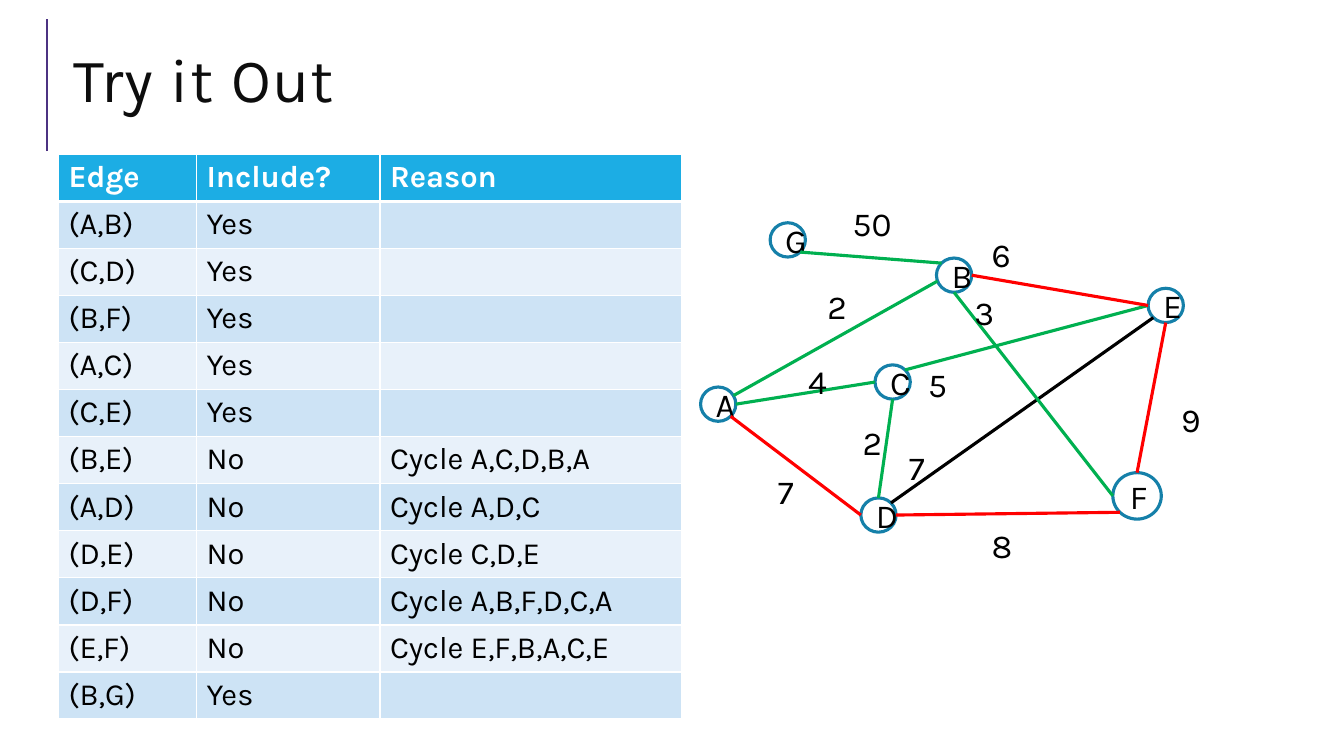
from dataclasses import dataclass
from math import cos, radians, sin

from lxml import etree
from pptx import Presentation
from pptx.dml.color import RGBColor
from pptx.enum.shapes import MSO_CONNECTOR, MSO_SHAPE
from pptx.enum.text import MSO_ANCHOR, MSO_AUTO_SIZE, PP_ALIGN
from pptx.oxml.ns import qn
from pptx.util import Pt

LINE = MSO_CONNECTOR.STRAIGHT
OVAL = MSO_SHAPE.OVAL
MIDDLE = MSO_ANCHOR.MIDDLE
NO_FIT = MSO_AUTO_SIZE.NONE
LEFT, CENTER = PP_ALIGN.LEFT, PP_ALIGN.CENTER


@dataclass(frozen=True)
class Theme:
    font: str = "Karla"
    title: str = "0D0D0D"
    bar: str = "4C3282"
    ink: str = "000000"
    white: str = "FFFFFF"
    ring: str = "1580A9"
    head: str = "1CADE4"
    bands: tuple = ("CDE3F5", "E8F1FA")
    green: str = "00B050"
    red: str = "FF0000"
    big: int = 44
    mid: int = 24
    cell: int = 22


theme = Theme()


def style(para, text, size, color, align=LEFT, bold=False):
    para.text = text
    para.alignment = align
    font = para.font
    font.name, font.size, font.bold = theme.font, Pt(size), bold
    font.color.rgb = RGBColor.from_string(color)


def draw(x1, y1, x2, y2, color, width):
    line = slide.shapes.add_connector(LINE, Pt(x1), Pt(y1), Pt(x2), Pt(y2))
    line.line.color.rgb = RGBColor.from_string(color)
    line.line.width = Pt(width)
    etree.SubElement(line._element.spPr, qn("a:effectLst"))


deck = Presentation()
deck.slide_width, deck.slide_height = Pt(960), Pt(540)
slide = deck.slides.add_slide(deck.slide_layouts[5])

# Title with its side bar
draw(33.8, 108, 33.8, 13.7, theme.bar, 1.5)
title = slide.shapes.title
title.left, title.top, title.width, title.height = Pt(45.4), Pt(20.9), Pt(880.6), Pt(79.9)
frame = title.text_frame
frame.auto_size, frame.vertical_anchor, frame.word_wrap = NO_FIT, MIDDLE, True
para = frame.paragraphs[0]
style(para, "Try it Out", theme.big, theme.title)
para.line_spacing = 0.8
para.runs[0]._r.get_or_add_rPr().set("spc", "100")

# Graph nodes: centre and radii
small = (12.6, 12.25)
nodes = {
    "A": (513, 288.7, *small),
    "B": (681.5, 196.6, *small),
    "C": (637.6, 272.9, *small),
    "D": (627.5, 367.9, *small),
    "E": (832.7, 218.2, *small),
    "F": (812.2, 354.2, 17.3, 16.6),
    "G": (562.7, 171.4, *small),
}
for name, (x, y, rx, ry) in nodes.items():
    node = slide.shapes.add_shape(OVAL, Pt(x - rx), Pt(y - ry), Pt(2 * rx), Pt(2 * ry))
    node.shadow.inherit = False
    node.fill.solid()
    node.fill.fore_color.rgb = RGBColor.from_string(theme.white)
    node.line.color.rgb = RGBColor.from_string(theme.ring)
    node.line.width = Pt(2.25)
    node.text_frame.vertical_anchor = MIDDLE
    style(node.text_frame.paragraphs[0], name, theme.mid, theme.ink, CENTER)

# Edges: each end is a node and a clockwise angle from its right side
edges = [
    ("B", 160, "A", -30, theme.green),
    ("A", 45, "D", 180, theme.red),
    ("D", -90, "C", 90, theme.green),
    ("C", 180, "A", 0, theme.green),
    ("C", -45, "E", 180, theme.green),
    ("E", 90, "F", -90, theme.red),
    ("F", 135, "D", 0, theme.red),
    ("E", 180, "B", 0, theme.red),
    ("E", 135, "D", -45, theme.ink),
    ("B", 90, "F", 180, theme.green),
    ("B", -135, "G", 45, theme.green),
]
for start, turn, end, back, color in edges:
    ends = []
    for name, angle in ((start, turn), (end, back)):
        x, y, rx, ry = nodes[name]
        ends += [x + rx * cos(radians(angle)), y + ry * sin(radians(angle))]
    draw(*ends, color, 2.25)

# Edge weights
weights = [
    ("50", 601.9, 141.1), ("6", 701.3, 163.4), ("3", 689, 205.2),
    ("4", 570.2, 254.2), ("7", 548.6, 332.6), ("2", 609.1, 298.1),
    ("8", 701.3, 371.5), ("9", 836.6, 281.5), ("5", 655.9, 256.3),
    ("7", 642.2, 315.4), ("2", 583.9, 200.9),
]
for text, x, y in weights:
    box = slide.shapes.add_textbox(Pt(x), Pt(y), Pt(10 + 18 * len(text)), Pt(36))
    style(box.text_frame.paragraphs[0], text, theme.mid, theme.ink)

# Table of edge choices
rows = [
    ("Edge", "Include?", "Reason"),
    ("(A,B)", "Yes", ""),
    ("(C,D)", "Yes", ""),
    ("(B,F)", "Yes", ""),
    ("(A,C)", "Yes", ""),
    ("(C,E)", "Yes", ""),
    ("(B,E)", "No", "Cycle A,C,D,B,A"),
    ("(A,D)", "No", "Cycle A,D,C"),
    ("(D,E)", "No", "Cycle C,D,E"),
    ("(D,F)", "No", "Cycle A,B,F,D,C,A"),
    ("(E,F)", "No", "Cycle E,F,B,A,C,E"),
    ("(B,G)", "Yes", ""),
]
widths = (98.6, 131, 215.8)
high = 33.6
table = slide.shapes.add_table(
    len(rows), len(widths), Pt(41.8), Pt(110.2), Pt(sum(widths)), Pt(high * len(rows))
).table
for col, width in zip(table.columns, widths):
    col.width = Pt(width)
for i, row in enumerate(rows):
    table.rows[i].height = Pt(high)
    fill = theme.bands[(i - 1) % 2] if i else theme.head
    for j, text in enumerate(row):
        cell = table.cell(i, j)
        props = cell._tc.get_or_add_tcPr()
        for side in ("lnL", "lnR", "lnT", "lnB"):
            thick = 3 if (i, side) in ((0, "lnB"), (1, "lnT")) else 1
            edge = etree.SubElement(props, qn(f"a:{side}"), w=str(Pt(thick)))
            paint = etree.SubElement(edge, qn("a:solidFill"))
            etree.SubElement(paint, qn("a:srgbClr"), val=theme.white)
        cell.fill.solid()
        cell.fill.fore_color.rgb = RGBColor.from_string(fill)
        color = theme.ink if i else theme.white
        style(cell.text_frame.paragraphs[0], text, theme.cell, color, bold=i == 0)

deck.save("out.pptx")
